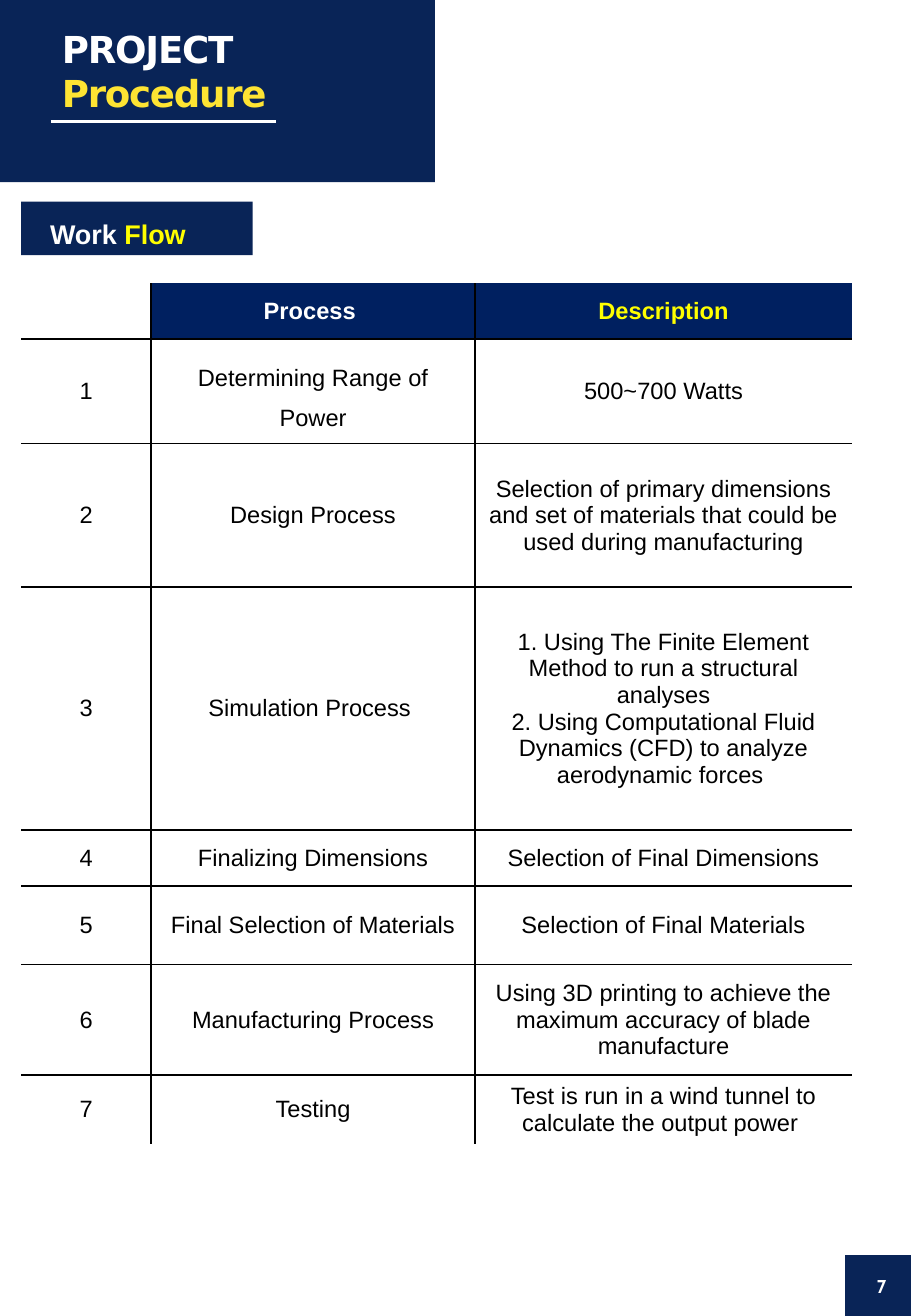
from dataclasses import dataclass
from lxml.etree import SubElement
from pptx import Presentation
from pptx.dml.color import RGBColor
from pptx.enum.shapes import MSO_CONNECTOR, MSO_SHAPE
from pptx.enum.text import MSO_ANCHOR, MSO_AUTO_SIZE, PP_ALIGN
from pptx.oxml.ns import qn
from pptx.util import Pt


@dataclass(frozen=True)
class Theme:
    """Colours, fonts and type sizes."""
    navy: str = "092457"
    head: str = "002060"
    gold: str = "FEE433"
    yellow: str = "FFFF00"
    white: str = "FFFFFF"
    black: str = "000000"
    sans: str = "Arial"
    display: str = "DejaVu Sans"
    folio: str = "Cabin"
    title: float = 22
    label: float = 16
    body: float = 14
    page: float = 11


LOOK = Theme()
COLS = (77, 192, 223.5)
ROWS = (33.2, 62, 85, 144, 33.2, 46.6, 65.5, 41)
STEPS = (
    ("Determining Range of Power", "500~700 Watts"),
    ("Design Process", "Selection of primary dimensions and set of materials "
     "that could be used during manufacturing"),
    ("Simulation Process ",
     "1. Using The Finite Element Method to run a structural analyses\n"
     "2. Using Computational Fluid Dynamics (CFD) to analyze aerodynamic forces "),
    ("Finalizing Dimensions", "Selection of Final Dimensions"),
    ("Final Selection of Materials", "Selection of Final Materials"),
    ("Manufacturing Process",
     "Using 3D printing to achieve the maximum accuracy of blade manufacture"),
    ("Testing", "Test is run in a wind tunnel to calculate the output power "),
)


def write(frame, text, size=LOOK.body, font=LOOK.sans, colors=(LOOK.black,),
          bold=False, align=PP_ALIGN.LEFT, lead=None, track=0):
    """Fill a frame; newlines part paragraphs, bars part runs, colours cycle."""
    hue = 0
    for row, line in enumerate(text.split("\n")):
        para = frame.add_paragraph() if row else frame.paragraphs[0]
        para.alignment = align
        para.space_before = Pt(0)
        if lead:
            para.line_spacing = lead
        for part in line.split("|"):
            run = para.add_run()
            run.text = part
            face = run.font
            face.size, face.name, face.bold = Pt(size), font, bold
            face.color.rgb = RGBColor.from_string(colors[hue % len(colors)])
            if track:
                run._r.get_or_add_rPr().set("spc", str(round(track * 100)))
            hue += 1


def block(slide, box):
    """Draw a plain navy rectangle."""
    shape = slide.shapes.add_shape(MSO_SHAPE.RECTANGLE, *map(Pt, box))
    shape.shadow.inherit = False
    shape.fill.solid()
    shape.fill.fore_color.rgb = RGBColor.from_string(LOOK.navy)
    shape.line.fill.background()
    return shape


def setup(frame, pad=(0, 0)):
    """Set a frame's side and top insets, anchor and wrap."""
    frame.margin_left = frame.margin_right = Pt(pad[0])
    frame.margin_top = frame.margin_bottom = Pt(pad[1])
    frame.vertical_anchor = MSO_ANCHOR.TOP
    frame.auto_size = MSO_AUTO_SIZE.NONE
    frame.word_wrap = True
    return frame


def banner(slide, box):
    """Draw the title banner with its underline."""
    left, top, _, _ = box
    title = slide.shapes.title
    block(slide, box).element.addnext(title.element)
    title.left, title.top = Pt(left + 36.7), Pt(top + 15.7)
    title.width, title.height = Pt(155.5), Pt(54)
    write(setup(title.text_frame), "PROJECT\nProcedure", size=LOOK.title,
          font=LOOK.display, colors=(LOOK.white, LOOK.gold), bold=True,
          lead=Pt(26.2), track=-0.7)
    rule = slide.shapes.add_connector(
        MSO_CONNECTOR.STRAIGHT, Pt(left + 30.2), Pt(top + 72),
        Pt(left + 163.6), Pt(top + 72))
    rule.line.color.rgb = RGBColor.from_string(LOOK.white)
    rule.line.width = Pt(1.5)
    SubElement(rule.element.spPr, qn("a:effectLst"))


def label(slide, box):
    """Draw the section label."""
    left, top, wide, high = box
    block(slide, box)
    note = slide.shapes.add_textbox(Pt(left + 10), Pt(top - 3.6),
                                    Pt(wide - 21), Pt(high + 0.7))
    write(setup(note.text_frame, (7.2, 3.6)), "Work |Flow", size=LOOK.label,
          colors=(LOOK.white, LOOK.yellow), bold=True, lead=1.5)


def edge(cell, sides):
    """Rule each inner side of a cell and clear each outer side."""
    props = cell._tc.get_or_add_tcPr()
    for side, inner in sides.items():
        line = SubElement(props, qn(f"a:ln{side}"), w=str(Pt(1)))
        if inner:
            fill = SubElement(line, qn("a:solidFill"))
            SubElement(fill, qn("a:srgbClr"), val=LOOK.black)
        else:
            SubElement(line, qn("a:noFill"))


def flow(slide, box):
    """Draw the work flow table."""
    grid = slide.shapes.add_table(len(ROWS), len(COLS), *map(Pt, box)).table
    grid.first_row = grid.horz_banding = False
    for col, wide in zip(grid.columns, COLS):
        col.width = Pt(wide)
    for row, high in zip(grid.rows, ROWS):
        row.height = Pt(high)
    data = [("", "Process ", "Description")]
    data += [(str(num), *step) for num, step in enumerate(STEPS, 1)]
    for y, line in enumerate(data):
        for x, text in enumerate(line):
            cell = grid.cell(y, x)
            cell.vertical_anchor = MSO_ANCHOR.MIDDLE
            edge(cell, {"L": x > 0, "R": x < len(COLS) - 1,
                        "T": y > 0, "B": y < len(ROWS) - 1})
            if not text:
                cell.fill.background()
                continue
            cell.fill.solid()
            cell.fill.fore_color.rgb = RGBColor.from_string(
                LOOK.white if y else LOOK.head)
            tint = LOOK.black if y else (LOOK.white, LOOK.yellow)[x - 1]
            write(cell.text_frame, text, colors=(tint,), bold=not y,
                  align=PP_ALIGN.CENTER, lead=1.5 if (y, x) == (1, 1) else None)


def folio(slide, box):
    """Draw the page number block."""
    left, top, _, _ = box
    block(slide, box)
    note = slide.shapes.add_textbox(Pt(left + 18.8), Pt(top + 11.6),
                                    Pt(12), Pt(14))
    write(setup(note.text_frame), "7", size=LOOK.page, font=LOOK.folio,
          colors=(LOOK.white,), bold=True, track=-0.8)


def main():
    """Build and save the slide."""
    deck = Presentation()
    deck.slide_width, deck.slide_height = Pt(540), Pt(780)
    slide = deck.slides.add_slide(deck.slide_layouts[5])
    label(slide, (12.6, 119.5, 137.2, 31.7))
    banner(slide, (0, 0, 257.9, 108))
    flow(slide, (12.6, 167.8, sum(COLS), sum(ROWS)))
    folio(slide, (501, 744, 39, 36))
    deck.save("out.pptx")


if __name__ == "__main__":
    main()
